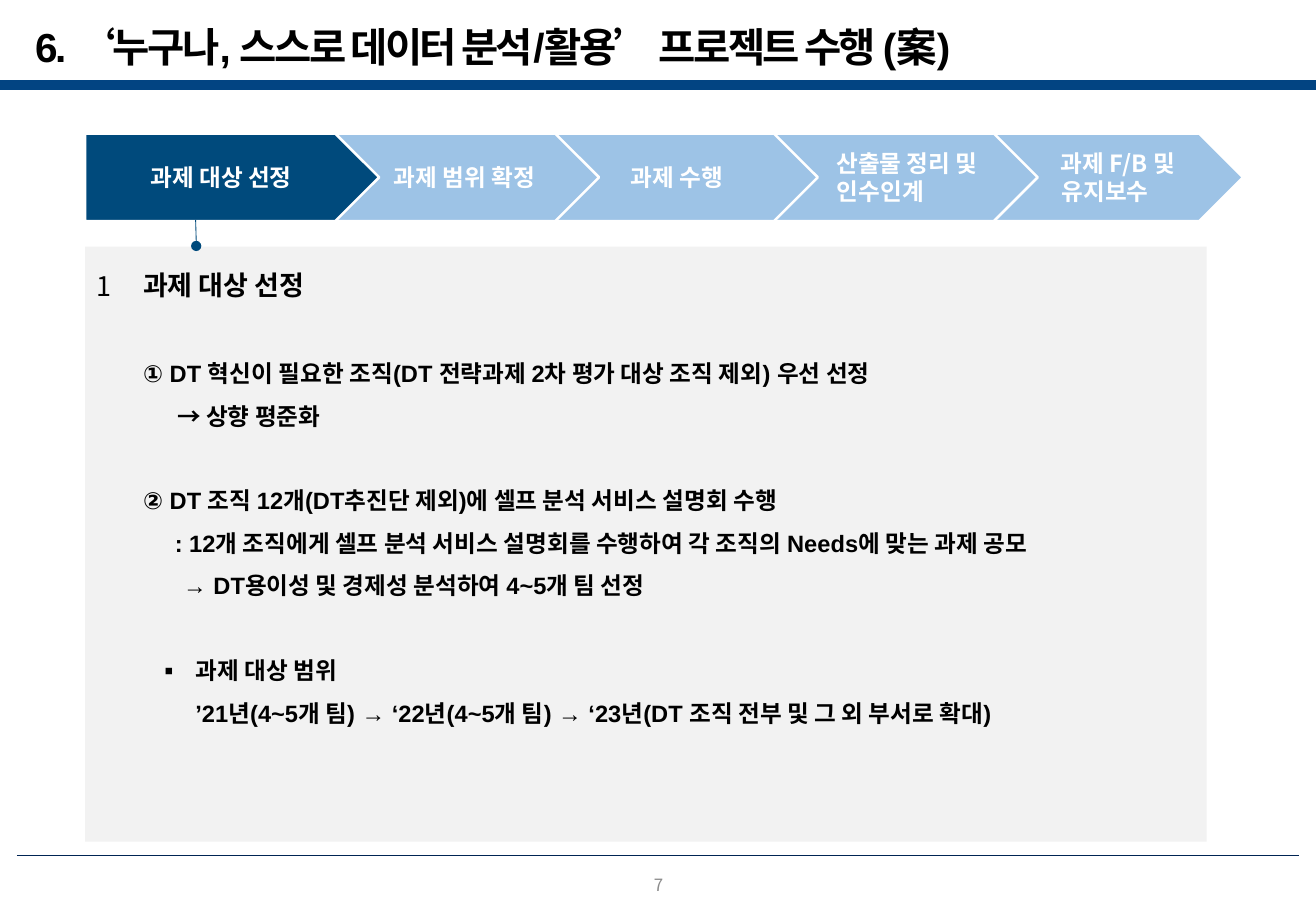
from dataclasses import dataclass

from lxml import etree
from pptx import Presentation
from pptx.dml.color import RGBColor
from pptx.enum.shapes import MSO_CONNECTOR as Connector, MSO_SHAPE as Shape
from pptx.enum.text import MSO_ANCHOR as Anchor, PP_ALIGN as Align
from pptx.oxml.ns import qn
from pptx.util import Inches, Pt


@dataclass(frozen=True)
class Theme:
    navy: str = "004A7C"
    band: str = "024482"
    rule: str = "002453"
    light_blue: str = "9DC3E6"
    panel: str = "F2F2F2"
    white: str = "FFFFFF"
    black: str = "000000"
    gray: str = "8C8C8C"
    latin: str = "Arial"
    korean: str = "Noto Sans CJK KR"
    title_size: int = 24
    heading_size: int = 16
    body_size: int = 14
    number_size: int = 10


theme = Theme()
presentation = Presentation()
presentation.slide_width = Inches(10.83)
presentation.slide_height = Inches(7.5)
slide = presentation.slides.add_slide(presentation.slide_layouts[6])
shapes = slide.shapes


def add_block(kind, left, top, width, height, fill, line=None, line_width=1):
    shape = shapes.add_shape(kind, Inches(left), Inches(top), Inches(width), Inches(height))
    shape.shadow.inherit = False
    shape.fill.solid()
    shape.fill.fore_color.rgb = RGBColor.from_string(fill)
    if line:
        shape.line.color.rgb = RGBColor.from_string(line)
        shape.line.width = Pt(line_width)
    else:
        shape.line.fill.background()
    return shape


def write(paragraph, text, size, color, latin, bold=True, left=0, hanging=0, bullet=None):
    paragraph.text = text
    font = paragraph.runs[0].font
    font.size, font.bold, font.name = Pt(size), bold, latin
    font.color.rgb = RGBColor.from_string(color)
    east_asian = etree.SubElement(font._element, qn("a:ea"))
    east_asian.set("typeface", theme.korean)
    properties = paragraph._p.get_or_add_pPr()
    properties.set("marL", str(Inches(left)))
    properties.set("indent", str(-Inches(hanging)))
    if bullet:
        bullet_font = etree.SubElement(properties, qn("a:buFont"))
        bullet_font.set("typeface", theme.korean)
        etree.SubElement(properties, qn("a:buChar")).set("char", bullet)


# Header band
add_block(Shape.RECTANGLE, 0, 0.66, 10.83, 0.08, theme.band)

# Title and page number
labels = [
    ((0.19, 0.21, 9.45, 0.39), "6. ‘누구나, 스스로 데이터 분석/활용’ 프로젝트 수행 (案)",
     theme.title_size, theme.black, theme.latin, True, Align.LEFT, -150),
    ((4.2, 7.18, 2.44, 0.23), "7",
     theme.number_size, theme.gray, theme.korean, False, Align.CENTER, 0),
]
for box, text, size, color, latin, bold, align, tracking in labels:
    text_frame = shapes.add_textbox(*map(Inches, box)).text_frame
    text_frame.word_wrap = True
    text_frame.vertical_anchor = Anchor.MIDDLE
    paragraph = text_frame.paragraphs[0]
    write(paragraph, text, size, color, latin, bold)
    paragraph.alignment = align
    paragraph.line_spacing = 0.9
    paragraph.runs[0].font._element.set("spc", str(tracking))

# Process steps: left, width, fill, lines with their indents; later steps lie behind
steps = [
    (0.7, 2.42, theme.navy, [("과제 대상 선정", 0)]),
    (2.52, 2.41, theme.light_blue, [("과제 범위 확정", 0.37)]),
    (4.32, 2.41, theme.light_blue, [("과제 수행", 0.27)]),
    (6.13, 2.41, theme.light_blue, [("산출물 정리 및", 0.44), ("인수인계", 0)]),
    (7.76, 2.47, theme.light_blue, [("과제 F/B 및", 0.59), ("유지보수", 0.38)]),
]
for left, width, fill, lines in reversed(steps):
    step = add_block(Shape.PENTAGON, left, 1.1, width, 0.72, fill, theme.white, 1.5)
    text_frame = step.text_frame
    text_frame.word_wrap = True
    text_frame.vertical_anchor = Anchor.MIDDLE
    for index, (text, indent) in enumerate(lines):
        paragraph = text_frame.add_paragraph() if index else text_frame.paragraphs[0]
        write(paragraph, text, theme.body_size, theme.white, theme.korean, left=indent)
        paragraph.alignment = Align.CENTER

# Detail panel: text, size, left indent, hanging, bullet, space before
details = [
    ("과제 대상 선정", theme.heading_size, 0.38, 0.38, "1)", 0),
    ("① DT 혁신이 필요한 조직(DT 전략과제 2차 평가 대상 조직 제외) 우선 선정",
     theme.body_size, 0.38, 0, None, 26),
    ("→ 상향 평준화", theme.body_size, 0.66, 0, None, 0),
    ("② DT 조직 12개(DT추진단 제외)에 셀프 분석 서비스 설명회 수행",
     theme.body_size, 0.38, 0, None, 25),
    (": 12개 조직에게 셀프 분석 서비스 설명회를 수행하여 각 조직의 Needs에 맞는 과제 공모",
     theme.body_size, 0.64, 0, None, 0),
    ("→ DT용이성 및 경제성 분석하여 4~5개 팀 선정", theme.body_size, 0.71, 0, None, 0),
    ("과제 대상 범위", theme.body_size, 0.81, 0.31, "▪", 25),
    ("’21년(4~5개 팀) → ‘22년(4~5개 팀) → ‘23년(DT 조직 전부 및 그 외 부서로 확대)",
     theme.body_size, 0.81, 0, None, 0),
]
panel = add_block(Shape.RECTANGLE, 0.7, 2.03, 9.23, 4.9, theme.panel)
text_frame = panel.text_frame
text_frame.word_wrap = True
text_frame.vertical_anchor = Anchor.TOP
for index, (text, size, left, hanging, bullet, gap) in enumerate(details):
    paragraph = text_frame.add_paragraph() if index else text_frame.paragraphs[0]
    paragraph.alignment = Align.LEFT
    paragraph.line_spacing = 1.5
    paragraph.space_before = Pt(gap)
    write(paragraph, text, size, theme.black, theme.latin,
          left=left, hanging=hanging, bullet=bullet)

# Marker from the active step to the panel, and footer rule
dot = add_block(Shape.OVAL, 1.58, 1.99, 0.07, 0.07, theme.navy, theme.navy)
lines = [
    ((1.61, 1.81, 1.61, 1.99), theme.navy, dot),
    ((0.14, 7.04, 10.69, 7.04), theme.rule, None),
]
for ends, color, target in lines:
    connector = shapes.add_connector(Connector.STRAIGHT, *map(Inches, ends))
    connector.line.color.rgb = RGBColor.from_string(color)
    connector.line.width = Pt(0.5)
    etree.SubElement(connector._element.spPr, qn("a:effectLst"))
    if target:
        connector.end_connect(target, 0)

presentation.save("out.pptx")
